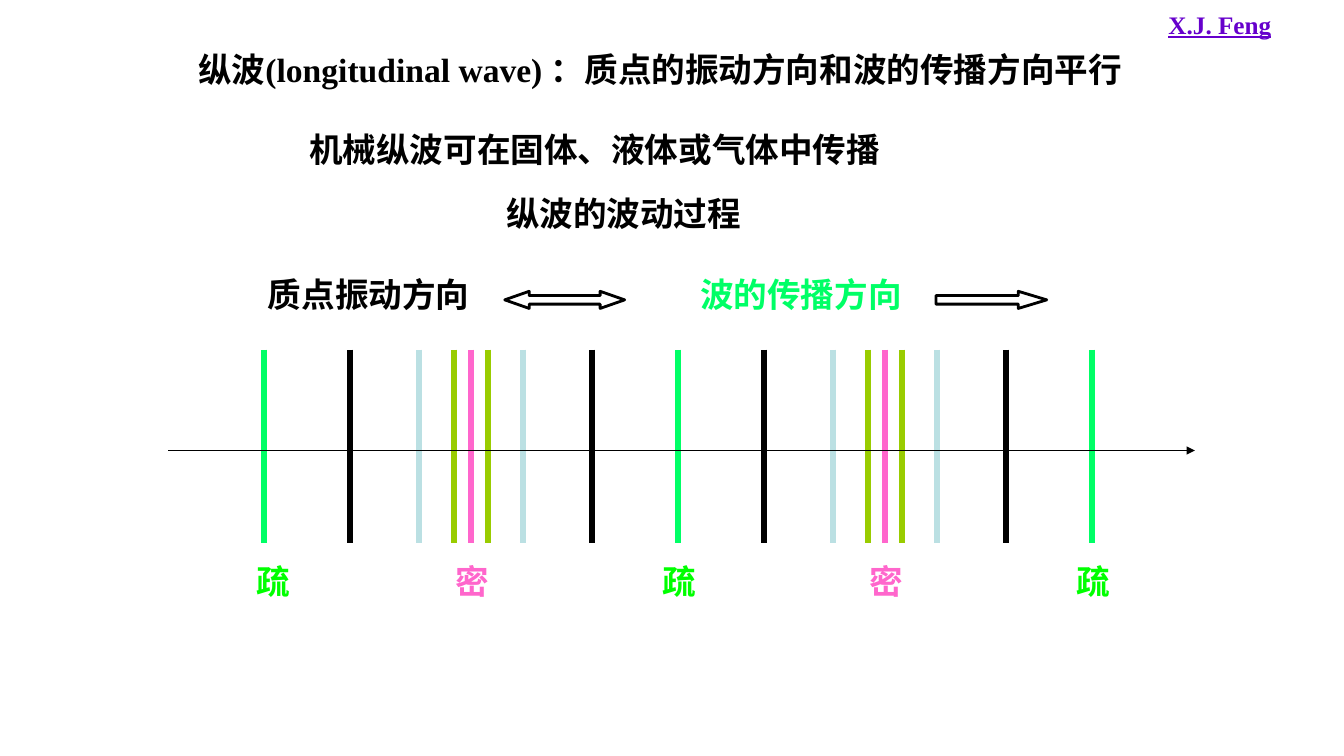
import dataclasses

import pptx
import pptx.dml.color
import pptx.enum.shapes
import pptx.enum.text
import pptx.oxml
import pptx.oxml.ns
import pptx.util

SHAPE = pptx.enum.shapes.MSO_SHAPE
ALIGN = pptx.enum.text.PP_ALIGN
ANCHOR = pptx.enum.text.MSO_ANCHOR
COLUMNS, ROWS = 133.4, 75  # square grid cells across and down the slide
CELL = pptx.util.Inches(0.1)


@dataclasses.dataclass(frozen=True)
class Theme:
    font: str = "Times New Roman"
    body: int = 24
    author: int = 18
    ink: str = "000000"
    purple: str = "6600CC"
    travel: str = "00FF66"
    sparse: str = "00FF00"
    dense: str = "FF66CC"
    olive: str = "99CC00"
    pale: str = "BBE0E3"
    mark: float = 4.5
    outline: float = 2
    axis: float = 0.75


@dataclasses.dataclass(frozen=True)
class Box:
    left: float
    top: float
    width: float
    height: float

    def inner(self, left, top, width, height):
        """A box given relative to this one's top left corner."""
        return Box(self.left + left, self.top + top, width, height)

    def lengths(self):
        return [cells(n) for n in (self.left, self.top, self.width, self.height)]


THEME = Theme()
LINE_ROWS = 5
PERIOD = 41.1
STEP = PERIOD / 24
# Steps from a rarefaction, with the colour of the mark there
MARKS = [
    (0, THEME.travel), (5, THEME.ink), (9, THEME.pale), (11, THEME.olive),
    (12, THEME.dense), (13, THEME.olive), (15, THEME.pale), (19, THEME.ink),
]
# Steps from the first rarefaction to the middle of each label
LABELS = [
    (0.5, "疏", THEME.sparse), (12, "密", THEME.dense), (24, "疏", THEME.sparse),
    (36, "密", THEME.dense), (48, "疏", THEME.sparse),
]


def cells(count):
    return round(count * CELL)


def rgb(value):
    return pptx.dml.color.RGBColor.from_string(value)


def add_text(page, box, text, color=THEME.ink, size=THEME.body,
             align=ALIGN.LEFT, anchor=ANCHOR.TOP, wrap=False, underline=None):
    frame = page.shapes.add_textbox(*box.lengths()).text_frame
    frame.word_wrap = wrap
    frame.auto_size = pptx.enum.text.MSO_AUTO_SIZE.SHAPE_TO_FIT_TEXT
    frame.vertical_anchor = anchor
    para = frame.paragraphs[0]
    para.text = text
    para.alignment = align
    font = para.font
    font.name, font.size, font.bold = THEME.font, pptx.util.Pt(size), True
    font.underline = underline
    font.color.rgb = rgb(color)


def add_centred(page, box, text, color=THEME.ink, wrap=False):
    add_text(page, box, text, color, align=ALIGN.CENTER,
             anchor=ANCHOR.MIDDLE, wrap=wrap)


def add_line(page, start, end, color, width):
    line = page.shapes.add_connector(
        pptx.enum.shapes.MSO_CONNECTOR.STRAIGHT, *map(cells, start + end))
    line.line.color.rgb = rgb(color)
    line.line.width = pptx.util.Pt(width)
    properties = line._element.spPr
    properties.append(pptx.oxml.parse_xml(
        f"<a:effectLst {pptx.oxml.ns.nsdecls('a')}/>"))
    return line


def add_block_arrow(page, box, kind, head):
    arrow = page.shapes.add_shape(kind, *box.lengths())
    arrow.shadow.inherit = False
    arrow.adjustments[0], arrow.adjustments[1] = 0.5, head
    arrow.fill.background()
    arrow.line.color.rgb = rgb(THEME.ink)
    arrow.line.width = pptx.util.Pt(THEME.outline)


def add_heading(page, box):
    add_text(page, box.inner(0, 0, 95.3, LINE_ROWS),
             "纵波(longitudinal wave) ：质点的振动方向和波的传播方向平行")
    add_text(page, box.inner(11, 7.9, 66.1, LINE_ROWS),
             "机械纵波可在固体、液体或气体中传播", wrap=True)
    add_centred(page, box.inner(30.1, 14.2, 26.2, LINE_ROWS),
                "纵波的波动过程", wrap=True)


def add_directions(page, box):
    """Legend of the vibration and travel directions."""
    add_centred(page, box.inner(0, 0, 22, LINE_ROWS), "质点振动方向")
    add_block_arrow(page, box.inner(24.5, 2.2, 11.9, 1.7),
                    SHAPE.LEFT_RIGHT_ARROW, 1.43)
    add_centred(page, box.inner(42.9, 0, 22, LINE_ROWS), "波的传播方向", THEME.travel)
    add_block_arrow(page, box.inner(67.3, 2.2, 11, 1.7), SHAPE.RIGHT_ARROW, 1.66)


def add_wave(page, box):
    """Two periods of marks on the axis, with their labels below."""
    first = box.left + 9.5
    marks = [(24 * period + step, color) for period in range(2) for step, color in MARKS]
    marks.append((48, THEME.travel))
    for step, color in marks:
        x = first + step * STEP
        add_line(page, (x, box.top), (x, box.top + box.height), color, THEME.mark)

    middle = box.top + 10
    axis = add_line(page, (box.left, middle), (box.left + box.width, middle),
                    THEME.ink, THEME.axis)
    axis.line._get_or_add_ln().append(pptx.oxml.parse_xml(
        f"<a:tailEnd {pptx.oxml.ns.nsdecls('a')} type='triangle'/>"))

    width = 5.3
    for step, text, color in LABELS:
        left = first + step * STEP - width / 2 + 0.1
        add_centred(page, Box(left, box.top + 20.4, width, LINE_ROWS), text, color)


def main():
    deck = pptx.Presentation()
    deck.slide_width, deck.slide_height = cells(COLUMNS), cells(ROWS)
    page = deck.slides.add_slide(deck.slide_layouts[6])
    add_text(page, Box(115, 0.4, 18.3, 4), "X.J. Feng", THEME.purple,
             THEME.author, wrap=True, underline=True)
    add_heading(page, Box(18.7, 4.4, 95.3, 19.2))
    add_directions(page, Box(25.6, 26.7, 78.3, LINE_ROWS))
    add_wave(page, Box(16.7, 34.7, 101.9, 19.2))
    deck.save("out.pptx")


if __name__ == "__main__":
    main()
